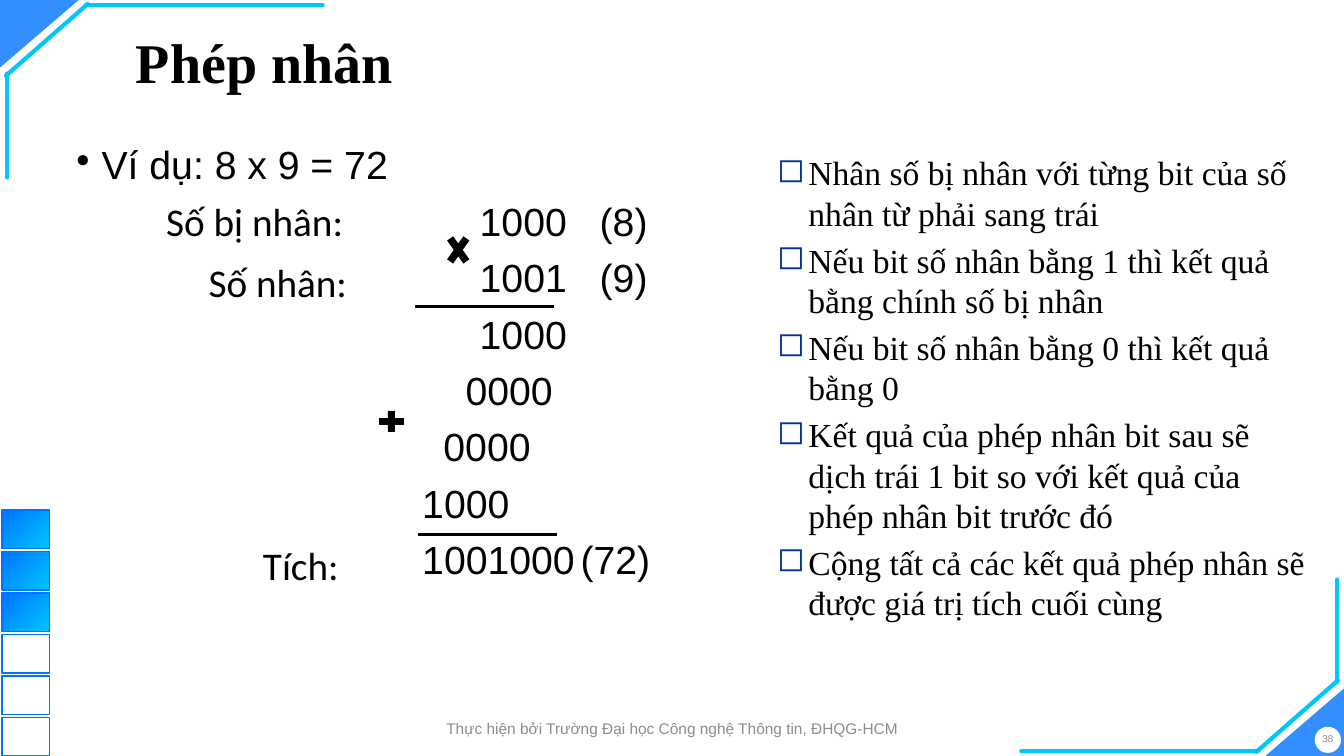
"""Build the slide on binary multiplication."""
import pptx
import pptx.util
import pptx.dml.color
import pptx.enum.shapes
import pptx.enum.text
import pptx.oxml.ns
from lxml import etree

Inches = pptx.util.Inches
Pt = pptx.util.Pt
SHAPE = pptx.enum.shapes.MSO_SHAPE
ALIGN = pptx.enum.text.PP_ALIGN
ANCHOR = pptx.enum.text.MSO_ANCHOR
qn = pptx.oxml.ns.qn

COLORS = {"blue": "0072FF", "cyan": "00C6FF", "navy": "003399",
          "black": "000000", "white": "FFFFFF", "grey": "8C8C8C"}

CORNER_LINES = [
    (3.2, 0.05, 0.85, 0.05), (0.87, 0.04, 0.06, 0.75), (0.07, 1.76, 0.07, 0.73),
    (10.13, 7.45, 12.48, 7.45), (12.46, 7.46, 13.27, 6.75), (13.26, 5.75, 13.26, 6.77),
]
ROWS = [
    ("1000", 4.0, "(8)", 5.19), ("1001", 4.0, "(9)", 5.19), ("1000", 4.0, "", 0),
    ("0000", 3.86, "", 0), ("0000", 3.64, "", 0), ("1000", 3.43, "", 0),
    ("1001000", 3.43, "(72)", 5.0),
]
LABELS = [("Số bị nhân:", 1.55, 1.91, 1.99), ("Số nhân:", 1.97, 2.51, 1.59),
          ("Tích:", 2.51, 5.32, 1.03)]
RULES = [
    "Nhân số bị nhân với từng bit của số nhân từ phải sang trái",
    "Nếu bit số nhân bằng 1 thì kết quả bằng chính số bị nhân",
    "Nếu bit số nhân bằng 0 thì kết quả bằng 0",
    "Kết quả của phép nhân bit sau sẽ dịch trái 1 bit so với kết quả của phép nhân bit trước đó",
    "Cộng tất cả các kết quả phép nhân sẽ được giá trị tích cuối cùng",
]


def rgb(name):
    return pptx.dml.color.RGBColor.from_string(COLORS[name])


def apply_format(target, values):
    for name, value in values.items():
        setattr(target, name, value)


def add_line(slide, ends, color, width, cap="flat"):
    line = slide.shapes.add_connector(
        pptx.enum.shapes.MSO_CONNECTOR.STRAIGHT, *map(Inches, ends))
    line.line.color.rgb = rgb(color)
    line.line.width = Pt(width)
    line.line._get_or_add_ln().set("cap", cap)
    etree.SubElement(line._element.spPr, qn("a:effectLst"))


def add_shape(slide, kind, place, fill=None, outline=None, width=1):
    shape = slide.shapes.add_shape(kind, *map(Inches, place))
    shape.shadow.inherit = False
    if fill:
        shape.fill.solid()
        shape.fill.fore_color.rgb = rgb(fill)
    else:
        shape.fill.background()
    if outline:
        shape.line.color.rgb = rgb(outline)
        shape.line.width = Pt(width)
    else:
        shape.line.fill.background()
    return shape


def add_corner(slide, left, top, rotation):
    corner = add_shape(slide, SHAPE.ISOSCELES_TRIANGLE, (left, top, 0.78, 0.67), "blue")
    corner.adjustments[0] = 1
    corner.rotation = rotation
    color = corner.fill._xPr.find(qn("a:solidFill"))[0]
    etree.SubElement(color, qn("a:alpha")).set("val", "80000")


def add_progress(slide, total, done):
    for index in range(total):
        place = (0.02, 5.06 + index * 0.412, 0.47, 0.38)
        square = add_shape(slide, SHAPE.RECTANGLE, place, outline="blue")
        if index < done:
            square.fill.gradient()
            square.fill.gradient_angle = 315
            for stop, color in zip(square.fill.gradient_stops, ("blue", "cyan")):
                stop.color.rgb = rgb(color)


def add_box(slide, place, wrap=True, anchor=ANCHOR.TOP):
    box = slide.shapes.add_textbox(*map(Inches, place))
    apply_format(box.text_frame, {"word_wrap": wrap, "vertical_anchor": anchor})
    return box.text_frame


def add_bullet(para, char, color, left, hanging):
    properties = para._p.get_or_add_pPr()
    properties.set("marL", str(Inches(left)))
    properties.set("indent", str(-Inches(hanging)))
    bullet_color = etree.SubElement(properties, qn("a:buClr"))
    etree.SubElement(bullet_color, qn("a:srgbClr")).set("val", COLORS[color])
    etree.SubElement(properties, qn("a:buChar")).set("char", char)


def add_tabs(para, positions):
    tabs = etree.SubElement(para._p.get_or_add_pPr(), qn("a:tabLst"))
    for position in positions:
        tab = etree.SubElement(tabs, qn("a:tab"))
        tab.set("pos", str(Inches(position)))
        tab.set("algn", "l")


def write(para, text, name, size, color="black", bold=False, **layout):
    apply_format(para, layout)
    span = para.add_run()
    span.text = text
    apply_format(span.font, {"name": name, "size": Pt(size), "bold": bold})
    span.font.color.rgb = rgb(color)


def add_text(slide, place, text, name, size, wrap=True, anchor=ANCHOR.TOP, **style):
    frame = add_box(slide, place, wrap, anchor)
    write(frame.paragraphs[0], text, name, size, **style)
    return frame


def add_multiplication(slide):
    frame = add_box(slide, (0.66, 1.4, 5.96, 5.28))
    heading = frame.paragraphs[0]
    add_bullet(heading, "•", "black", 0.25, 0.25)
    write(heading, "Ví dụ: 8 x 9 = 72", "Arial", 28, line_spacing=0.9)
    for digits, start, note, note_start in ROWS:
        para = frame.add_paragraph()
        add_tabs(para, [start, note_start] if note else [start])
        text = f"\t{digits}\t{note}" if note else f"\t{digits}"
        write(para, text, "Arial", 28, line_spacing=0.9, space_before=Pt(10))
    add_shape(slide, SHAPE.MATH_MULTIPLY, (4.39, 2.26, 0.31, 0.44), "black")
    add_shape(slide, SHAPE.MATH_PLUS, (3.72, 4.04, 0.32, 0.28), "black", "black", 0.5)
    add_line(slide, (4.12, 3.04, 5.49, 3.04), "black", 2)
    add_line(slide, (4.15, 5.3, 5.52, 5.3), "black", 2)
    for text, left, top, width in LABELS:
        add_text(slide, (left, top, width, 0.57), text, "Calibri", 28, wrap=False)


def add_rules(slide):
    frame = add_box(slide, (7.11, 1.46, 5.96, 5.28))
    for index, rule in enumerate(RULES):
        para = frame.add_paragraph() if index else frame.paragraphs[0]
        add_bullet(para, "◻", "navy", 0.81, 0.31)
        write(para, rule, "Times New Roman", 24, level=1,
              space_before=Pt(4.8 if index else 0))


def add_footer(slide):
    style = {"color": "grey", "anchor": ANCHOR.MIDDLE, "alignment": ALIGN.CENTER}
    add_text(slide, (3.99, 7.08, 5.36, 0.29),
             "Thực hiện bởi Trường Đại học Công nghệ Thông tin, ĐHQG-HCM",
             "Arial", 11, **style)
    number = add_text(slide, (13.01, 7.17, 0.32, 0.32), "38", "Arial", 7, **style)
    apply_format(number, {"margin_left": 0, "margin_right": 0})


def main():
    deck = pptx.Presentation()
    apply_format(deck, {"slide_width": Inches(13.33), "slide_height": Inches(7.5)})
    slide = deck.slides.add_slide(deck.slide_layouts[6])
    add_corner(slide, 0, 0, 180)
    add_corner(slide, 12.55, 6.83, 0)
    for ends in CORNER_LINES:
        add_line(slide, ends, "cyan", 3, "rnd")
    add_shape(slide, SHAPE.OVAL, (13.04, 7.21, 0.26, 0.26), "white")
    add_progress(slide, 6, 3)
    add_text(slide, (1.25, 0.16, 11.5, 0.98), "Phép nhân", "Times New Roman", 40,
             anchor=ANCHOR.MIDDLE, bold=True, line_spacing=0.9)
    add_multiplication(slide)
    add_rules(slide)
    add_footer(slide)
    deck.save("out.pptx")


if __name__ == "__main__":
    main()
